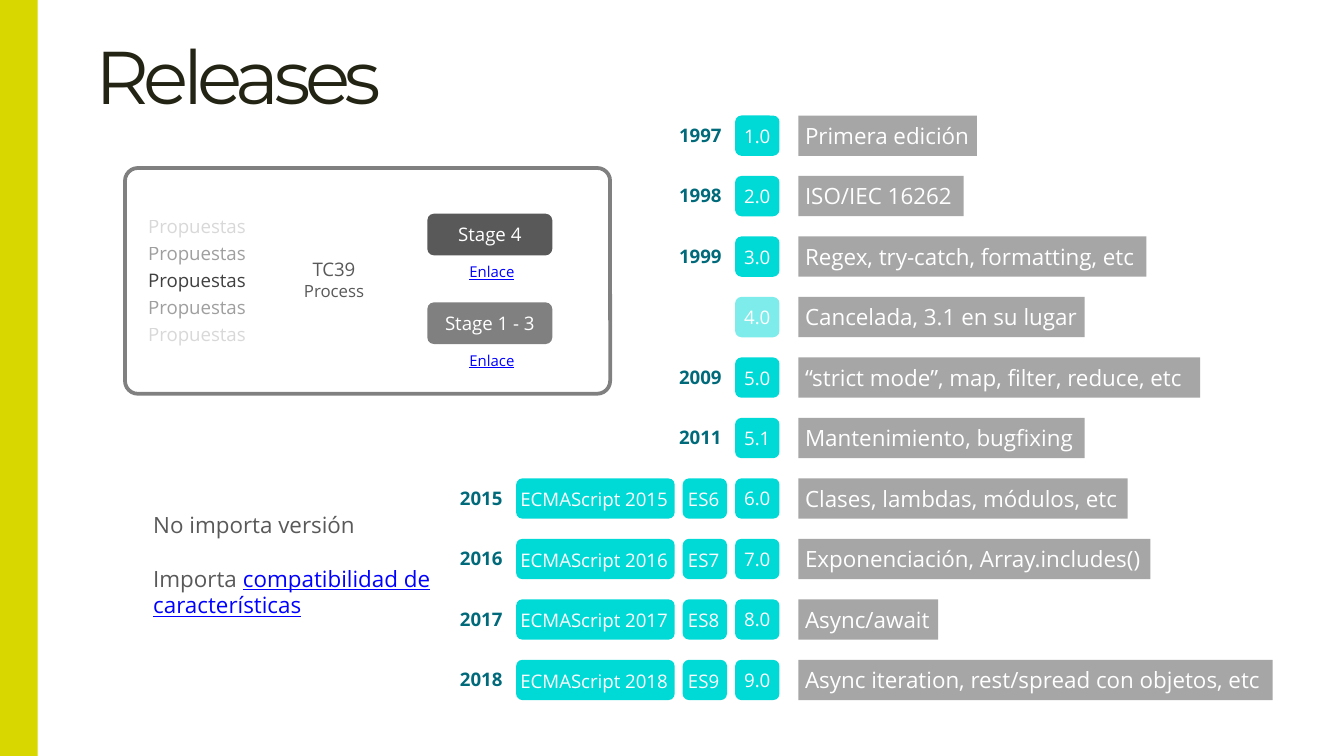
from dataclasses import dataclass
from lxml.etree import SubElement
from pptx import Presentation
from pptx.dml.color import RGBColor
from pptx.enum.shapes import MSO_SHAPE
from pptx.enum.text import MSO_ANCHOR, MSO_AUTO_SIZE, PP_ALIGN
from pptx.oxml.ns import qn
from pptx.util import Inches, Pt


@dataclass(frozen=True)
class Theme:
    head: str = "Montserrat"
    body: str = "Open Sans"
    ink: str = "242415"
    lime: str = "D8D800"
    aqua: str = "00DAD7"
    teal: str = "006A7B"
    ash: str = "A6A6A6"
    gray: str = "808080"
    dark: str = "595959"
    coal: str = "404040"
    link: str = "0000FF"
    white: str = "FFFFFF"
    title: int = 40
    note: int = 12
    label: int = 10
    small: int = 9
    tiny: int = 8


T = Theme()
WIDE = 10
HIGH = WIDE * 9 / 16
TOP, STEP, TALL = 0.86, 0.45, 0.3
PAD = 0.05
COLS = {"name": (3.84, 1.18), "short": (5.08, 0.33), "number": (5.47, 0.33)}
NOTE_X, YEAR_W, YEAR_GAP = 5.94, 0.32, 0.1

EDITIONS = [
    ("1997", "1.0", "Primera edición", 1.33),
    ("1998", "2.0", "ISO/IEC 16262", 1.23),
    ("1999", "3.0", "Regex, try-catch, formatting, etc", 2.59),
    ("", "4.0", "Cancelada, 3.1 en su lugar", 2.13),
    ("2009", "5.0", "“strict mode”, map, filter, reduce, etc", 2.99),
    ("2011", "5.1", "Mantenimiento, bugfixing", 2.13),
    ("2015", "6.0", "Clases, lambdas, módulos, etc", 2.45),
    ("2016", "7.0", "Exponenciación, Array.includes()", 2.62),
    ("2017", "8.0", "Async/await", 1.04),
    ("2018", "9.0", "Async iteration, rest/spread con objetos, etc", 3.53),
]


def color(code):
    return RGBColor.from_string(code)


def fade(node, share):
    for tint in node.iter(qn("a:srgbClr")):
        SubElement(tint, qn("a:alpha"), val=str(share * 1000))


def style(para, size, tint, align=PP_ALIGN.CENTER, face=T.body):
    para.alignment = align
    font = para.font
    font.name, font.size = face, Pt(size)
    font.color.rgb = color(tint)
    return font


def setup(frame, pad=0, anchor=MSO_ANCHOR.MIDDLE, wrap=True):
    frame.margin_left = frame.margin_right = Inches(pad)
    frame.margin_top = frame.margin_bottom = Inches(pad)
    frame.vertical_anchor = anchor
    frame.auto_size = MSO_AUTO_SIZE.NONE
    frame.word_wrap = wrap


def block(slide, area, fill=None, kind=MSO_SHAPE.RECTANGLE, curve=0.16):
    shape = slide.shapes.add_shape(kind, *map(Inches, area))
    shape.shadow.inherit = False
    shape.line.fill.background()
    if fill:
        shape.fill.solid()
        shape.fill.fore_color.rgb = color(fill)
    else:
        shape.fill.background()
    if kind == MSO_SHAPE.ROUNDED_RECTANGLE:
        shape.adjustments[0] = curve
    return shape


def pill(slide, area, text, fill):
    shape = block(slide, area, fill, MSO_SHAPE.ROUNDED_RECTANGLE)
    setup(shape.text_frame, PAD, wrap=False)
    para = shape.text_frame.paragraphs[0]
    para.text = text
    style(para, T.label, T.white)
    return shape


def label(slide, area, text, size, tint, pad=PAD, wrap=True):
    frame = slide.shapes.add_textbox(*map(Inches, area)).text_frame
    setup(frame, pad, wrap=wrap)
    para = frame.paragraphs[0]
    para.text = text
    return para, style(para, size, tint)


def tag(slide, area, text):
    left, top, span, tall = area
    block(slide, area, T.aqua, MSO_SHAPE.ROUNDED_RECTANGLE)
    inner = (left + 0.02, top + 0.07, span - 0.06, 0.17)
    label(slide, inner, text, T.label, T.white, 0, False)


def heading(slide):
    title = slide.shapes.title
    title.left, title.top = Inches(0.71), 0
    title.width, title.height = Inches(9.02), Inches(0.89)
    setup(title.text_frame, anchor=MSO_ANCHOR.BOTTOM)
    para = title.text_frame.paragraphs[0]
    para.text = "Releases"
    style(para, T.title, T.ink, PP_ALIGN.LEFT, T.head)
    para.runs[0].font._element.set("spc", "-300")


def edition(slide, row, year, number, note, width):
    top = TOP + row * STEP

    def cell(col):
        left, span = COLS[col]
        return left, top, span, TALL

    badge = pill(slide, cell("number"), number, T.aqua)
    if not year:
        fade(badge.element.spPr, 51)
    bar = block(slide, (NOTE_X, top, width, TALL), T.ash)
    setup(bar.text_frame, PAD, MSO_ANCHOR.TOP, wrap=False)
    para = bar.text_frame.paragraphs[0]
    para.text = note
    style(para, T.note, T.white, PP_ALIGN.LEFT)

    first = "number"
    if year >= "2015":
        first = "name"
        tag(slide, cell("short"), f"ES{number[0]}")
        tag(slide, cell("name"), f"ECMAScript {year}")
    if year:
        left = COLS[first][0] - YEAR_GAP - YEAR_W
        area = (left, top + 0.06, YEAR_W, 0.17)
        _, font = label(slide, area, year, T.label, T.teal, 0, False)
        font.bold = True


def process(slide):
    frame = block(slide, (0.93, 1.25, 3.61, 1.68), None,
                  MSO_SHAPE.ROUNDED_RECTANGLE, 0.057)
    frame.line.color.rgb = color(T.gray)
    frame.line.width = Pt(2)
    for row, share in enumerate((20, 50, 100, 50, 20)):
        area = (0.99, 1.55 + row * 0.2, 0.95, 0.27)
        para, _ = label(slide, area, "Propuestas", T.label, T.coal)
        if share < 100:
            fade(para._p, share)
    label(slide, (2.18, 1.87, 0.61, 0.42), "TC39", T.label, T.dark)
    para = slide.shapes[-1].text_frame.add_paragraph()
    para.text = "Process"
    style(para, T.small, T.dark)
    for top, text, fill in ((1.59, "Stage 4", T.dark),
                            (2.25, "Stage 1 - 3", T.gray)):
        pill(slide, (3.18, top, 0.93, 0.31), text, fill)
        area = (3.39, top + 0.31, 0.54, 0.24)
        _, font = label(slide, area, "Enlace", T.tiny, T.link)
        font.underline = True


def advice(slide):
    area = (1.14, 3.8, 2.12, 0.78)
    para, _ = label(slide, area, "No importa versión", T.note, T.dark, 0)
    para.alignment = PP_ALIGN.LEFT
    frame = slide.shapes[-1].text_frame
    frame.vertical_anchor = MSO_ANCHOR.TOP
    para = frame.add_paragraph()
    style(para, T.note, T.dark, PP_ALIGN.LEFT)
    para.space_before = Pt(14.5)
    para.add_run().text = "Importa "
    run = para.add_run()
    run.text = "compatibilidad de características"
    run.font.color.rgb = color(T.link)
    run.font.underline = True


def main():
    deck = Presentation()
    deck.slide_width, deck.slide_height = Inches(WIDE), Inches(HIGH)
    slide = deck.slides.add_slide(deck.slide_layouts[5])
    heading(slide)
    block(slide, (0, 0, 0.28, HIGH), T.lime)
    for row, item in enumerate(EDITIONS):
        edition(slide, row, *item)
    process(slide)
    advice(slide)
    deck.save("out.pptx")


if __name__ == "__main__":
    main()
